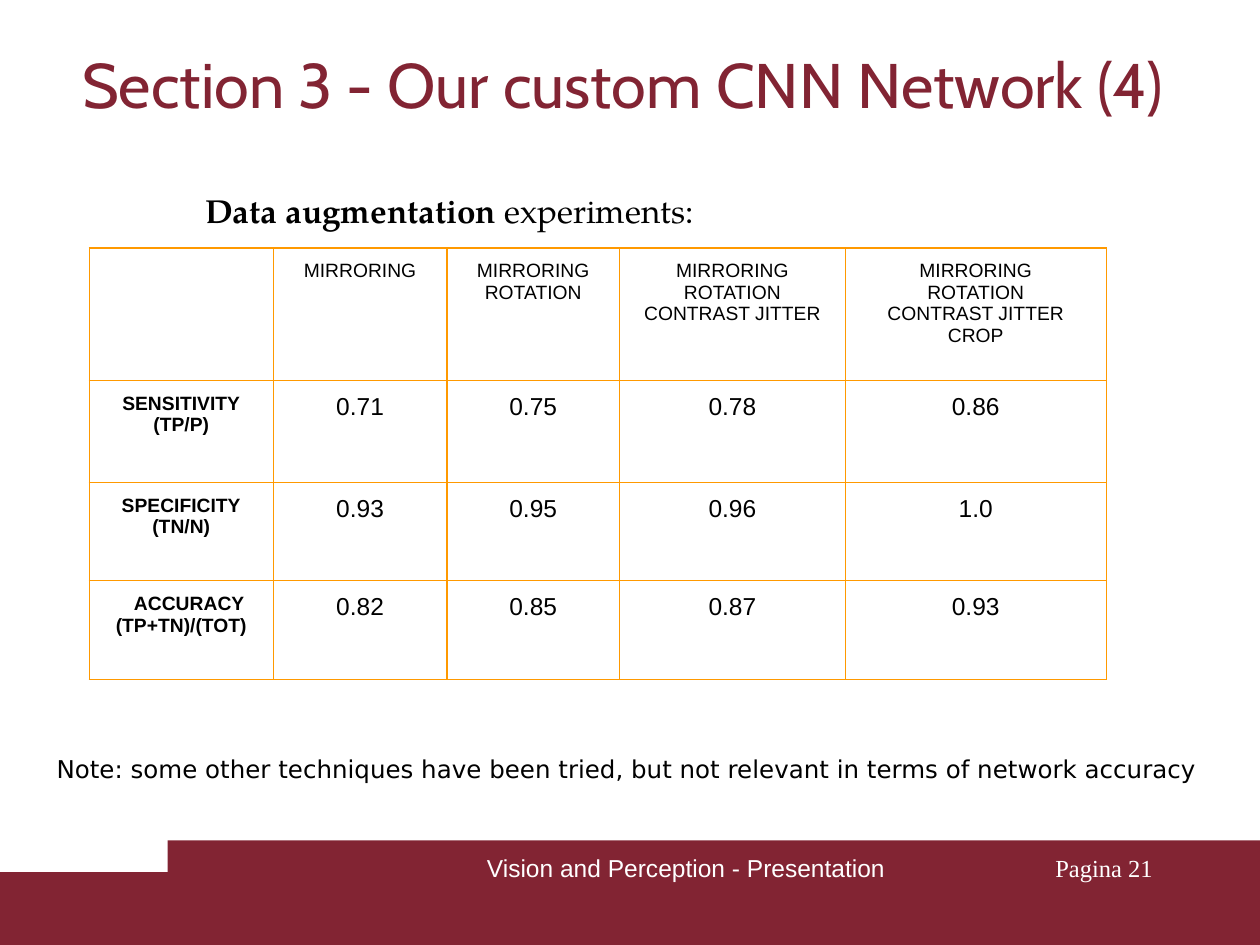
from pptx import Presentation
from pptx.dml.color import RGBColor
from pptx.enum.shapes import MSO_SHAPE as Shape
from pptx.enum.text import MSO_ANCHOR as Anchor, PP_ALIGN as Align
from pptx.oxml import parse_xml
from pptx.oxml.ns import nsdecls
from pptx.util import Cm, Pt

WINE, BLACK, WHITE, ORANGE = "822433", "000000", "FFFFFF", "FF9900"
COLUMNS = [3.71, 3.5, 3.48, 4.55, 5.26]
ROWS = [2.67, 2.06, 1.98, 1.98]
HEADERS = [
    [],
    ["MIRRORING"],
    ["MIRRORING", "ROTATION"],
    ["MIRRORING", "ROTATION", "CONTRAST JITTER"],
    ["MIRRORING", "ROTATION", "CONTRAST JITTER", "CROP"],
]
METRICS = [
    (["SENSITIVITY", "(TP/P)"], ["0.71", "0.75", "0.78", "0.86"]),
    (["SPECIFICITY", "(TN/N)"], ["0.93", "0.95", "0.96", "1.0"]),
    (["ACCURACY", "(TP+TN)/(TOT)"], ["0.82", "0.85", "0.87", "0.93"]),
]


def color(value):
    return RGBColor.from_string(value)


def add_span(para, text, font, size, fill, bold=False):
    span = para.add_run()
    span.text = text
    span.font.name, span.font.size, span.font.bold = font, Pt(size), bold
    span.font.color.rgb = color(fill)


def set_frame(frame, inset_y):
    frame.word_wrap = True
    frame.vertical_anchor = Anchor.TOP
    frame.margin_left = frame.margin_right = Cm(0.25)
    frame.margin_top = frame.margin_bottom = Cm(inset_y)


def add_text(page, left, top, width, height, spans, align=Align.LEFT, inset_y=0.25):
    box = page.shapes.add_textbox(Cm(left), Cm(top), Cm(width), Cm(height))
    set_frame(box.text_frame, inset_y)
    para = box.text_frame.paragraphs[0]
    para.alignment = align
    for span in spans:
        add_span(para, *span)
    return para


def add_title(page, left, top, width, height):
    title = page.shapes.title
    title.left, title.top, title.width, title.height = map(Cm, (left, top, width, height))
    set_frame(title.text_frame, 0.13)
    para = title.text_frame.paragraphs[0]
    para.alignment = Align.CENTER
    add_span(para, "Section 3 - Our custom CNN Network (4)", "Cabin", 36, WINE)


def add_footer(page, left, top, width, height):
    # Stepped band: a low bar over the full width and a taller one on the right
    step_x, step_y = 3.38, 0.64
    for x, y in ((0, step_y), (step_x, 0)):
        bar = page.shapes.add_shape(
            Shape.RECTANGLE, Cm(left + x), Cm(top + y), Cm(width - x), Cm(height - y))
        bar.shadow.inherit = False
        bar.fill.solid()
        bar.fill.fore_color.rgb = color(WINE)
        bar.line.fill.background()
    # Course name and page number
    add_text(page, left + 2.24, top + 0.13, 23.32, height,
             [("Vision and Perception - Presentation ", "Arial", 14, WHITE)],
             Align.CENTER, 0.13)
    add_text(page, left + 18.21, top + 0.13, 5.28, 1.27,
             [("Pagina 21", "Times New Roman", 14, WHITE)], Align.RIGHT, 0.13)


def set_borders(cell):
    properties = cell._tc.get_or_add_tcPr()
    for position, side in enumerate(("lnL", "lnR", "lnT", "lnB")):
        properties.insert(position, parse_xml(
            f'<a:{side} {nsdecls("a")} w="{Pt(0.75)}"><a:solidFill>'
            f'<a:srgbClr val="{ORANGE}"/></a:solidFill></a:{side}>'))


def fill_cell(cell, lines, size=11, bold=False):
    cell.fill.background()
    cell.vertical_anchor = Anchor.TOP
    cell.margin_left = cell.margin_right = Cm(0.25)
    cell.margin_top = cell.margin_bottom = Cm(0.25)
    set_borders(cell)
    for number, line in enumerate(lines):
        frame = cell.text_frame
        para = frame.add_paragraph() if number else frame.paragraphs[0]
        para.alignment = Align.CENTER
        if line == "ACCURACY":  # this label sits a little right of centre
            para._p.get_or_add_pPr().set("marL", str(Cm(0.32)))
        add_span(para, line, "Arial", size, BLACK, bold)


def add_results(page, left, top):
    table = page.shapes.add_table(
        len(ROWS), len(COLUMNS), Cm(left), Cm(top), Cm(sum(COLUMNS)), Cm(sum(ROWS))).table
    table.first_row = table.horz_banding = False
    for column, width in zip(table.columns, COLUMNS):
        column.width = Cm(width)
    for row, height in zip(table.rows, ROWS):
        row.height = Cm(height)
    # Header row
    for index, lines in enumerate(HEADERS):
        fill_cell(table.cell(0, index), lines)
    # One row per metric
    for row, (label, values) in enumerate(METRICS, 1):
        fill_cell(table.cell(row, 0), label, bold=True)
        for index, value in enumerate(values, 1):
            fill_cell(table.cell(row, index), [value], size=14)


def main():
    deck = Presentation()
    deck.slide_width, deck.slide_height = Cm(25.4), Cm(19.05)
    page = deck.slides.add_slide(deck.slide_layouts[5])
    add_footer(page, 0, 16.94, 25.4, 2.11)
    add_title(page, 0.89, 0.79, 23.32, 1.42)
    # Table heading, results and note
    heading = add_text(page, 3.89, 3.18, 12.04, 1.42, [
        ("Data augmentation", "TeX Gyre Pagella", 19, BLACK, True),
        (" experiments:", "TeX Gyre Pagella", 19, BLACK)])
    heading.line_spacing = 1.5
    add_results(page, 1.8, 5)
    add_text(page, 0.89, 14.96, 24.41, 1.27, [
        ("Note: some other techniques have been tried, but not relevant "
         "in terms of network accuracy", "DejaVu Sans", 14, BLACK)])
    deck.save("out.pptx")


if __name__ == "__main__":
    main()
